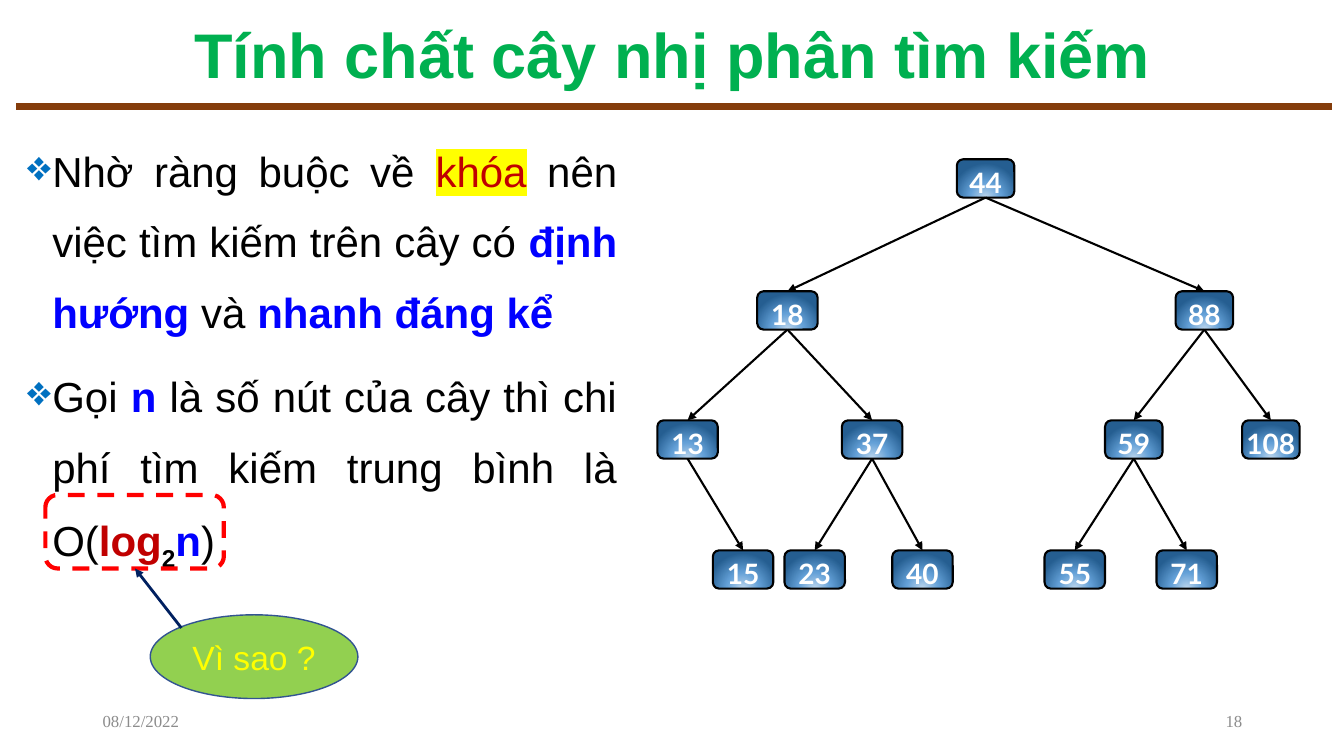
from pptx import Presentation
from pptx.dml.color import RGBColor
from pptx.enum.dml import MSO_LINE
from pptx.enum.shapes import MSO_CONNECTOR, MSO_SHAPE
from pptx.enum.text import MSO_ANCHOR as ANCHOR, PP_ALIGN as ALIGN
from pptx.oxml import parse_xml
from pptx.oxml.ns import nsdecls, qn
from pptx.util import Inches, Pt

colour = RGBColor.from_string
drawing = nsdecls("a")

presentation = Presentation()
presentation.slide_width = Inches(13.33)
presentation.slide_height = Inches(7.5)
slide = presentation.slides.add_slide(presentation.slide_layouts[6])
shapes = slide.shapes
column = presentation.slide_width / 100
row = presentation.slide_height / 100


def place(left, top, width, height):
    return [round(left * column), round(top * row), round(width * column), round(height * row)]


def write(shape, text, size, name, hex_colour, bold=False, align=ALIGN.CENTER, anchor=ANCHOR.MIDDLE, spacing=1.0):
    frame = shape.text_frame
    frame.text = text
    frame.word_wrap = True
    frame.vertical_anchor = anchor
    paragraph = frame.paragraphs[0]
    paragraph.alignment = align
    paragraph.line_spacing = spacing
    font = paragraph.runs[0].font
    font.size, font.name, font.bold = Pt(size), name, bold
    font.color.rgb = colour(hex_colour)


title = shapes.add_textbox(*place(6.9, 2.27, 86.27, 10.8))
write(title, "Tính chất cây nhị phân tìm kiếm", 45, "Arial", "00B050", bold=True, spacing=0.9)

plain, blue, red = ("000000", False), ("0000FF", True), ("C00000", True)
properties = [
    [("Nhờ ràng buộc về ", plain), ("khóa", ("C00000", False)),
     (" nên việc tìm kiếm trên cây có ", plain), ("định hướng", blue),
     (" và ", plain), ("nhanh đáng kể", blue)],
    [("Gọi ", plain), ("n", blue),
     (" là số nút của cây thì chi phí tìm kiếm trung bình là O(", plain),
     ("log", red), ("2", ("000000", True)), ("n", blue), (")", plain)],
]
body = shapes.add_textbox(*place(1.28, 15.87, 45.39, 78.8))
body.text_frame.word_wrap = True
for index, pieces in enumerate(properties):
    paragraph = body.text_frame.add_paragraph() if index else body.text_frame.paragraphs[0]
    paragraph.alignment = ALIGN.JUSTIFY
    paragraph.line_spacing = 1.4
    paragraph.space_before = Pt(10)
    settings = paragraph._p.get_or_add_pPr()
    settings.set("marL", str(Inches(0.25)))
    settings.set("indent", str(-Inches(0.25)))
    settings.append(parse_xml(f'<a:buClr {drawing}><a:srgbClr val="0070C0"/></a:buClr>'))
    settings.append(parse_xml(f'<a:buChar {drawing} char="❖"/>'))
    for text, (hex_colour, bold) in pieces:
        run = paragraph.add_run()
        run.text = text
        run.font.size, run.font.name, run.font.bold = Pt(30), "Arial", bold
        run.font.color.rgb = colour(hex_colour)
        run_settings = run._r.get_or_add_rPr()
        if text == "khóa":
            run_settings.find(qn("a:solidFill")).addnext(
                parse_xml(f'<a:highlight {drawing}><a:srgbClr val="FFFF00"/></a:highlight>'))
        if text == "2":
            run_settings.set("baseline", "-25000")

for text, left, align in (("08/12/2022", 6.9, ALIGN.LEFT), ("18", 70.67, ALIGN.RIGHT)):
    footer = shapes.add_textbox(*place(left, 92.67, 22.5, 5.33))
    write(footer, text, 12, "Times New Roman", "8C8C8C", align=align)

gradient = (
    f'<a:gradFill {drawing} rotWithShape="1"><a:gsLst>'
    '<a:gs pos="0"><a:srgbClr val="BDD7EE"/></a:gs>'
    '<a:gs pos="46000"><a:srgbClr val="63A0D7"/></a:gs>'
    '<a:gs pos="100000"><a:srgbClr val="255E91"/></a:gs></a:gsLst>'
    '<a:path path="circle"><a:fillToRect l="50000" t="130000" r="50000" b="-30000"/></a:path>'
    '</a:gradFill>')
level_tops = (21.07, 38.53, 55.6, 72.8)
narrow_width, wide_width = 4.28, 4.5
tree = [
    (44, None, 0, 73.33, narrow_width),
    (18, 44, 1, 58.59, wide_width),
    (88, 44, 1, 89.61, narrow_width),
    (13, 18, 2, 51.16, wide_width),
    (37, 18, 2, 64.89, wide_width),
    (59, 88, 2, 84.36, narrow_width),
    (108, 88, 2, 94.56, narrow_width),
    (15, 13, 3, 55.29, wide_width),
    (23, 37, 3, 60.62, wide_width),
    (40, 37, 3, 68.64, wide_width),
    (55, 59, 3, 79.97, wide_width),
    (71, 59, 3, 88.3, wide_width),
]
nodes = {}
for key, parent, level, center, width in tree:
    node = shapes.add_shape(MSO_SHAPE.ROUNDED_RECTANGLE, *place(center - width / 2, level_tops[level], width, 5.07))
    node.shadow.inherit = False
    node._element.spPr.find(qn("a:prstGeom")).addnext(parse_xml(gradient))
    node.line.color.rgb = colour("000000")
    node.line.width = Pt(1.5)
    frame = node.text_frame
    frame.margin_left = frame.margin_top = frame.margin_right = frame.margin_bottom = 0
    write(node, str(key), 20, "Lato", "FFFFFF", bold=True, anchor=ANCHOR.TOP, spacing=1.13)
    nodes[key] = node

cost_frame = shapes.add_shape(MSO_SHAPE.ROUNDED_RECTANGLE, *place(3.38, 65.47, 13.28, 9.73))
cost_frame.shadow.inherit = False
cost_frame.fill.background()
cost_frame.line.color.rgb = colour("FF0000")
cost_frame.line.width = Pt(3)
cost_frame.line.dash_style = MSO_LINE.DASH

question = shapes.add_shape(MSO_SHAPE.OVAL, *place(11.18, 81.33, 15.45, 11.07))
question.shadow.inherit = False
question.fill.solid()
question.fill.fore_color.rgb = colour("92D050")
question.line.color.rgb = colour("325491")
question.line.width = Pt(1)
write(question, "Vì sao ?", 24, "Arial", "FFFF00")

lines = [
    ((1.2, 14.13, 99.1, 14.13), "843C0B", 5, False, None),
    ((13.5, 83.07, 10.05, 75.2), "002060", 2, True, None),
]
for key, parent, *_ in tree[1:]:
    lines.append(((0, 0, 0, 0), "000000", 1.5, True, (nodes[parent], nodes[key])))
for points, hex_colour, width, arrow, ends in lines:
    connector = shapes.add_connector(MSO_CONNECTOR.STRAIGHT, *place(*points))
    if ends:
        connector.begin_connect(ends[0], 2)
        connector.end_connect(ends[1], 0)
    connector.line.color.rgb = colour(hex_colour)
    connector.line.width = Pt(width)
    if arrow:
        connector.line._get_or_add_ln().append(parse_xml(f'<a:tailEnd {drawing} type="triangle"/>'))
    connector._element.spPr.append(parse_xml(f"<a:effectLst {drawing}/>"))

presentation.save("out.pptx")
